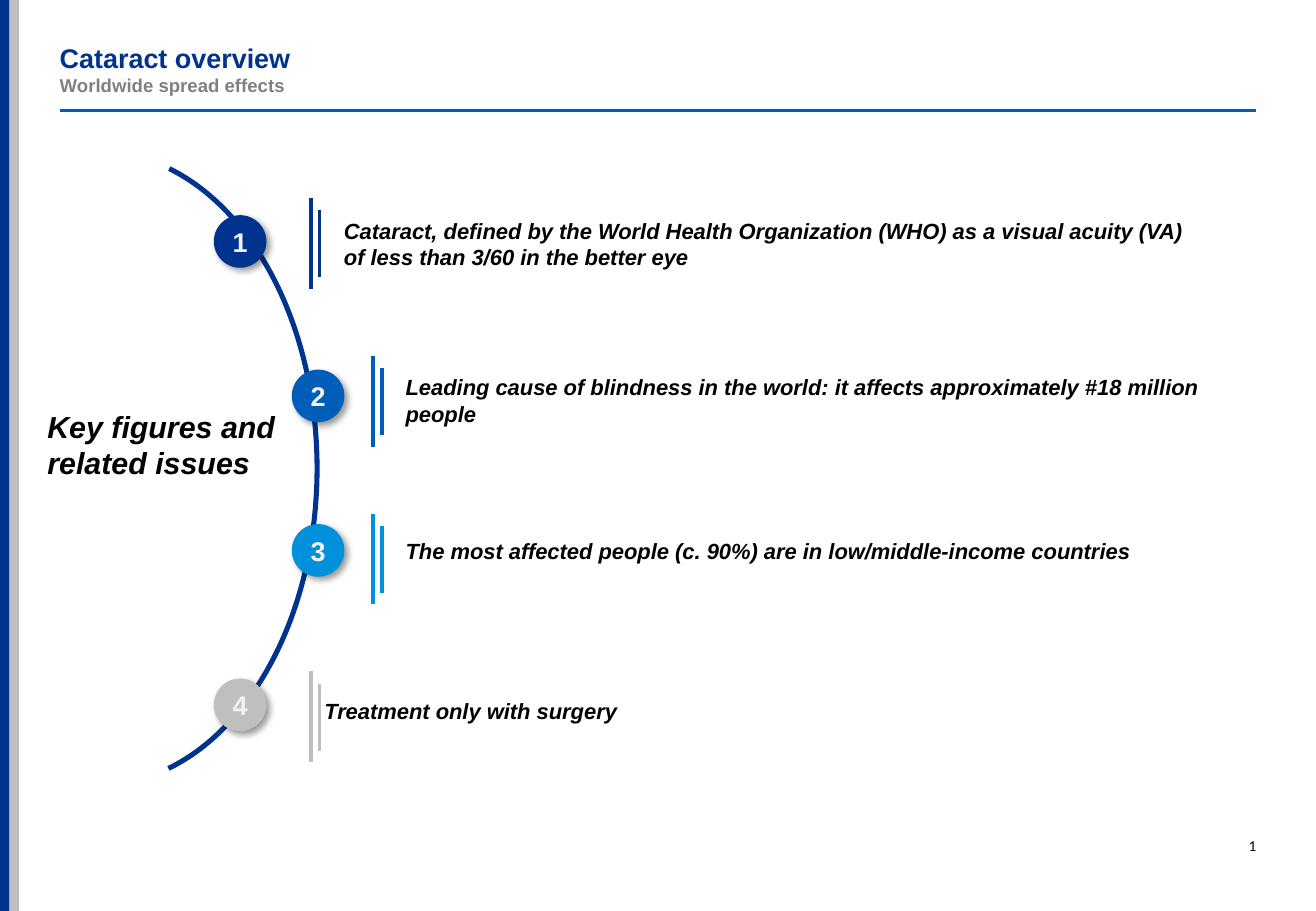
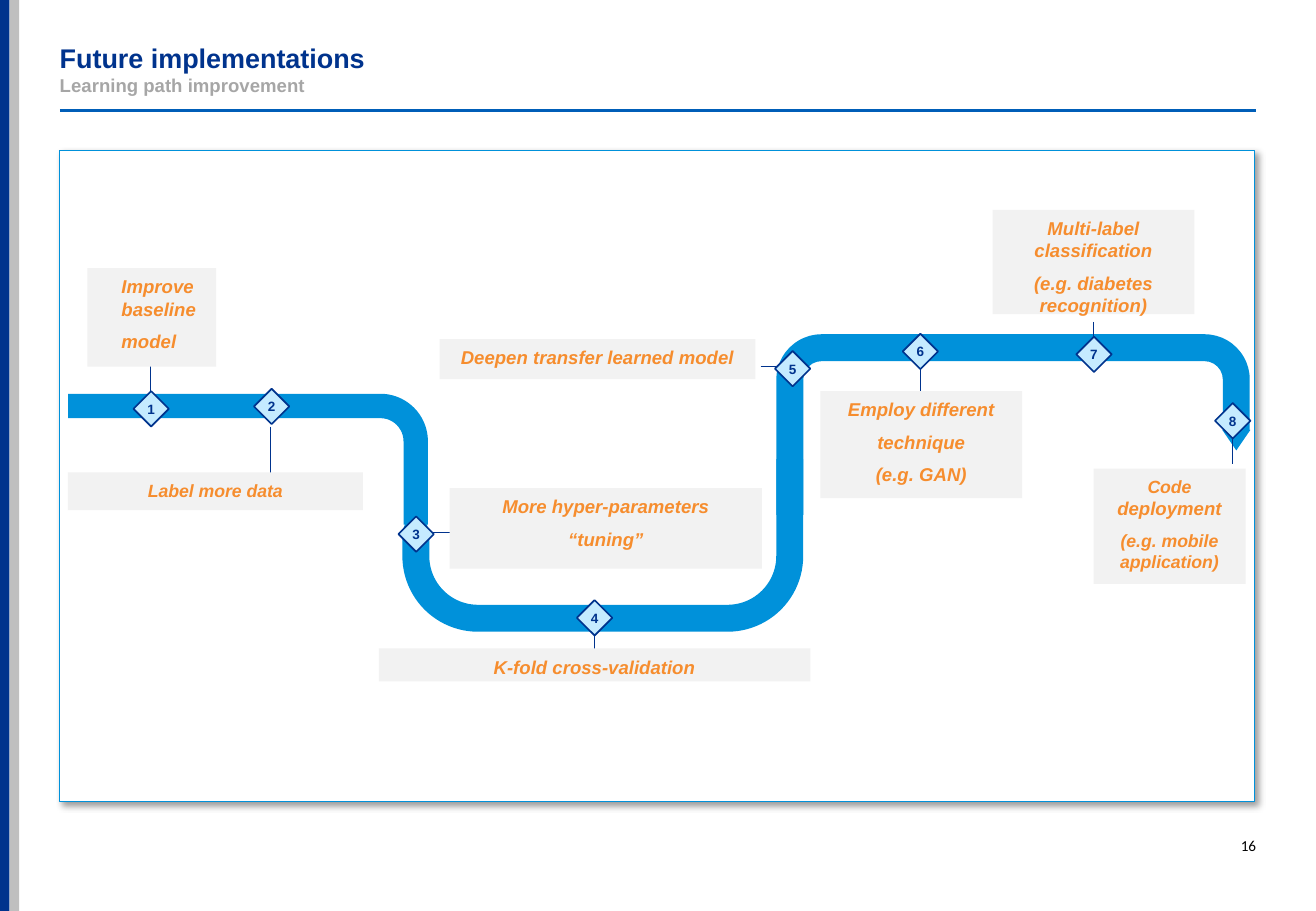
from lxml import etree
from pptx import Presentation
from pptx.dml.color import RGBColor
from pptx.enum.shapes import MSO_CONNECTOR, MSO_SHAPE
from pptx.enum.text import MSO_ANCHOR, PP_ALIGN
from pptx.oxml.ns import qn
from pptx.util import Cm, Pt

RECT, ARC, UTURN = MSO_SHAPE.RECTANGLE, MSO_SHAPE.ARC, MSO_SHAPE.U_TURN_ARROW
CIRCLE, DIAMOND = MSO_SHAPE.FLOWCHART_CONNECTOR, MSO_SHAPE.FLOWCHART_DECISION
STRAIGHT = MSO_CONNECTOR.STRAIGHT
LEFT, CENTER, RIGHT = PP_ALIGN.LEFT, PP_ALIGN.CENTER, PP_ALIGN.RIGHT
TOP, MIDDLE = MSO_ANCHOR.TOP, MSO_ANCHOR.MIDDLE

COLORS = {
    "navy": "00338D", "blue": "005EB8", "sky": "0091DA", "ice": "C5EBFF",
    "silver": "BFBFBF", "pale": "F2F2F2", "gray": "808080", "ash": "A6A6A6",
    "orange": "F68D2E", "black": "000000", "white": "FFFFFF",
}


def rgb(name):
    return RGBColor.from_string(COLORS[name])


class Deck:
    """Holds the presentation, its style and the slide being drawn."""

    def __init__(self):
        self.prs = Presentation()
        self.prs.slide_width, self.prs.slide_height = Cm(27.51), Cm(19.05)
        self.s = None

    def slide(self, title, subtitle, number, subtitle_color):
        """Start a slide with side bands, heading, rule and page number."""
        self.s = self.prs.slides.add_slide(self.prs.slide_layouts[6])
        self.shape(RECT, (0.2, 0, 0.2, 19.05), "silver")
        self.shape(RECT, (0, 0, 0.2, 19.05), "navy")
        self.line((1.25, 2.31), (26.26, 2.31), "blue", 1.5)
        self.text((1.25, 0.91, 25, 0.58), title, 16, "navy", anchor=MIDDLE)
        self.text((1.25, 1.5, 25, 0.58), subtitle, 11, subtitle_color, anchor=MIDDLE)
        self.text((25.17, 17.48, 1.09, 0.4), number, 9, "black", align=RIGHT,
                  font="Calibri", bold=False)

    def shape(self, kind, box, fill, line=None, width=1, rotation=0, adj=(), shadow=False):
        sp = self.s.shapes.add_shape(kind, *map(Cm, box))
        sp.rotation = rotation
        for i, value in enumerate(adj):
            sp.adjustments[i] = value
        sp.fill.solid()
        sp.fill.fore_color.rgb = rgb(fill)
        if line:
            sp.line.color.rgb = rgb(line)
            sp.line.width = Pt(width)
        else:
            sp.line.fill.background()
        sp.shadow.inherit = False
        if shadow:
            self.drop_shadow(sp)
        return sp

    def drop_shadow(self, sp):
        effects = sp._element.spPr.find(qn("a:effectLst"))
        outer = etree.SubElement(effects, qn("a:outerShdw"), blurRad="50800",
                                 dist="38100", dir="2700000", algn="tl", rotWithShape="0")
        color = etree.SubElement(outer, qn("a:srgbClr"), val=COLORS["black"])
        etree.SubElement(color, qn("a:alpha"), val="40000")

    def line(self, start, end, color, width):
        cn = self.s.shapes.add_connector(STRAIGHT, *map(Cm, start + end))
        cn.line.color.rgb = rgb(color)
        cn.line.width = Pt(width)
        etree.SubElement(cn._element.spPr, qn("a:effectLst"))

    def text(self, box, text, size, color, **style):
        sp = self.s.shapes.add_textbox(*map(Cm, box))
        self.set_text(sp, [[(text, size)]], color, **style)

    def set_text(self, sp, paragraphs, color, align=LEFT, anchor=TOP, insets=(0, 0, 0, 0),
                 after=0, font="Arial", bold=True, italic=False):
        """Fill a shape; each paragraph is a list of (text, size) runs."""
        tf = sp.text_frame
        tf.word_wrap = True
        tf.vertical_anchor = anchor
        (tf.margin_left, tf.margin_top,
         tf.margin_right, tf.margin_bottom) = map(Cm, insets)
        for i, runs in enumerate(paragraphs):
            p = tf.add_paragraph() if i else tf.paragraphs[0]
            p.alignment = align
            p.space_after = Pt(after)
            for text, size in runs:
                r = p.add_run()
                r.text = text
                r.font.name, r.font.size = font, Pt(size)
                r.font.bold, r.font.italic = bold, italic
                r.font.color.rgb = rgb(color)

    def badge(self, kind, box, number, size, fill, color, **look):
        """Draw a numbered marker."""
        sp = self.shape(kind, box, fill, **look)
        self.set_text(sp, [[(str(number), size)]], color, CENTER, MIDDLE)

    def callout(self, box, paragraphs, align=CENTER, insets=(0.15,) * 4):
        sp = self.shape(RECT, box, "pale")
        self.set_text(sp, paragraphs, "orange", align, insets=insets, after=6, italic=True)


def overview(deck):
    deck.slide("Cataract overview", "Worldwide spread effects", "1", "gray")
    deck.shape(ARC, (-2.46, 3.18, 9.09, 13.23), "white", "navy", 3, adj=(169.84, 46.26))
    deck.text((0.99, 8.53, 5.08, 3.07), "Key figures and related issues", 18, "black",
              italic=True)
    # colour, circle left, bars left, text left, text top, text
    facts = [
        ("navy", 4.47, 6.5, 7.19, 4.55,
         "Cataract, defined by the World Health Organization (WHO) as a visual "
         "acuity (VA) of less than 3/60 in the better eye"),
        ("blue", 6.1, 7.8, 8.48, 7.82,
         "Leading cause of blindness in the world: it affects approximately "
         "#18 million people"),
        ("sky", 6.1, 7.8, 8.48, 11.25,
         "The most affected people (c. 90%) are in low/middle-income countries"),
        ("silver", 4.47, 6.5, 6.78, 14.58, "Treatment only with surgery"),
    ]
    for i, (color, circle_x, bar_x, text_x, text_y, fact) in enumerate(facts):
        bar_y = 4.14 + 3.3 * i
        deck.line((bar_x, bar_y), (bar_x, bar_y + 1.9), color, 2.25)
        deck.line((bar_x + 0.18, bar_y + 0.26), (bar_x + 0.18, bar_y + 1.66), color, 2.25)
        deck.text((text_x, text_y, 17.63, 1), fact, 13, "black", italic=True)
        deck.badge(CIRCLE, (circle_x, 4.5 + 3.23 * i, 1.1, 1.1), i + 1, 16, color,
                   "pale", shadow=True)


def roadmap(deck):
    deck.slide("Future implementations", "Learning path improvement", "16", "ash")
    deck.shape(RECT, (1.25, 3.15, 24.97, 13.61), "white", "sky", 0.75, shadow=True)

    # road: three U-turns, the first one half covered
    deck.shape(UTURN, (3.28, 6.38, 3.81, 7.52), "sky", rotation=90,
               adj=(0.25, 0.067, 0.529, 0.261, 0.643))
    deck.shape(RECT, (3.35, 10.97, 6.15, 4.57), "white")
    deck.shape(UTURN, (8.41, 9.6, 8.38, 3.61), "sky", rotation=180,
               adj=(0.156, 0.078, 0.205, 0.438, 0.787))
    deck.shape(UTURN, (16.23, 6.99, 9.91, 3.78), "sky",
               adj=(0.149, 0.078, 0.114, 0.25, 0.643))

    leaders = [
        ((3.15, 8.41), (3.15, 7.59)), ((5.66, 8.92), (5.66, 9.91)),
        ((8.59, 11.13), (9.4, 11.13)), ((12.42, 12.67), (12.42, 14.12)),
        ((15.9, 7.67), (16.31, 7.67)), ((19.25, 8.26), (19.25, 7.54)),
        ((22.86, 6.73), (22.86, 7.24)), ((25.76, 9.09), (25.76, 9.7)),
    ]
    for start, end in leaders:
        deck.line(start, end, "navy", 0.5)

    deck.callout((1.83, 5.61, 2.69, 2.06), [[("Improve baseline", 11)], [("model", 11)]],
                 LEFT, (0.71, 0.15, 0, 0.15))
    callouts = [
        ((1.42, 9.88, 6.17, 0.79), [[("Label more data", 10.5)]]),
        ((9.4, 10.21, 6.53, 1.68), [[("More hyper-parameters", 11)], [("“tuning”", 11)]]),
        ((7.92, 13.56, 9.02, 0.69), [[("K-fold cross-validation", 11)]]),
        ((9.19, 7.09, 6.6, 0.84), [[("Deepen transfer learned model", 11)]]),
        ((17.15, 8.18, 4.22, 2.24),
         [[("Employ different", 11)], [("technique", 11)], [("(e.g. GAN)", 11)]]),
        ((20.75, 4.39, 4.22, 2.18),
         [[("Multi-label classification", 11)], [("(e.g. diabetes recognition)", 11)]]),
        ((22.86, 9.8, 3.18, 2.41),
         [[("Code ", 10.5), ("deployment", 11)], [("(e.g. mobile application)", 10.5)]]),
    ]
    for box, paragraphs in callouts:
        deck.callout(box, paragraphs)

    milestones = [(2.79, 8.18), (5.31, 8.13), (8.33, 10.8), (12.06, 12.55),
                  (16.2, 7.34), (18.87, 6.98), (22.5, 7.04), (25.4, 8.43)]
    for number, (x, y) in enumerate(milestones, 1):
        deck.badge(DIAMOND, (x, y, 0.74, 0.74), number, 8, "ice", "navy", line="navy")


def main():
    deck = Deck()
    overview(deck)
    roadmap(deck)
    deck.prs.save("out.pptx")


if __name__ == "__main__":
    main()
